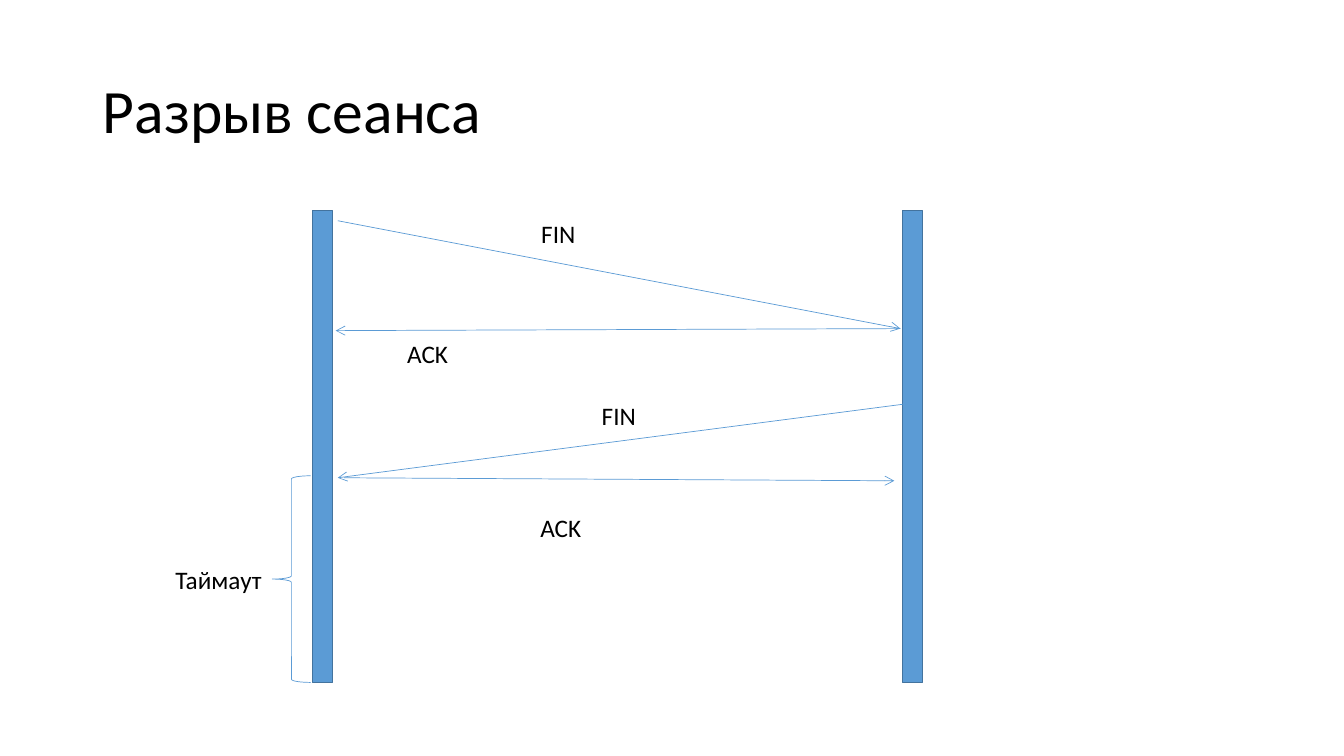
from lxml.etree import SubElement
from pptx import Presentation
from pptx.dml.color import RGBColor
from pptx.enum.shapes import MSO_CONNECTOR, MSO_SHAPE
from pptx.enum.text import MSO_ANCHOR, MSO_AUTO_SIZE, PP_ALIGN
from pptx.oxml.ns import qn
from pptx.util import Inches, Pt

TITLE = "Разрыв сеанса"
FONT = "Calibri"
COLORS = {"text": "000000", "blue": "5B9BD5", "border": "43739E"}

HOST_LEFTS = [3.1, 8.95]
HOST_TOP, HOST_WIDTH, HOST_HEIGHT = 2.09, 0.2, 4.68
TIMEOUT_TOP = 4.72

# start x, start y, end x, end y
MESSAGES = [
    (3.35, 2.19, 8.93, 3.26),
    (8.93, 3.26, 3.33, 3.28),
    (8.96, 4.01, 3.35, 4.74),
    (3.41, 4.74, 8.87, 4.77),
]

# text, left, top, width, wraps
LABELS = [
    ("FIN", 5.27, 2.12, 0.54, False),
    ("ACK", 3.94, 3.31, 2.38, True),
    ("FIN", 5.87, 3.92, 0.54, False),
    ("ACK", 5.26, 5.03, 0.61, False),
    ("Таймаут", 1.64, 5.55, 1.08, False),
]


def color(name):
    return RGBColor.from_string(COLORS[name])


def set_font(para, size):
    para.alignment = PP_ALIGN.LEFT
    para.font.name = FONT
    para.font.size = Pt(size)
    para.font.color.rgb = color("text")


def set_line(line, name, width):
    line.color.rgb = color(name)
    line.width = Pt(width)


def add_title(page):
    title = page.shapes.title
    title.left, title.top = Inches(0.92), Inches(0.4)
    title.width, title.height = Inches(11.5), Inches(1.45)
    title.text_frame.text = TITLE
    title.text_frame.vertical_anchor = MSO_ANCHOR.MIDDLE
    para = title.text_frame.paragraphs[0]
    para.line_spacing = 0.9
    set_font(para, 44)


def add_host(page, left):
    host = page.shapes.add_shape(
        MSO_SHAPE.RECTANGLE, Inches(left), Inches(HOST_TOP),
        Inches(HOST_WIDTH), Inches(HOST_HEIGHT))
    host.shadow.inherit = False
    host.fill.solid()
    host.fill.fore_color.rgb = color("blue")
    set_line(host.line, "border", 1)


def add_message(page, ends):
    arrow = page.shapes.add_connector(
        MSO_CONNECTOR.STRAIGHT, *(Inches(value) for value in ends))
    set_line(arrow.line, "blue", 0.5)
    properties = arrow._element.spPr
    SubElement(properties.find(qn("a:ln")), qn("a:tailEnd"), type="arrow")
    SubElement(properties, qn("a:effectLst"))


def add_timeout_brace(page):
    bottom = HOST_TOP + HOST_HEIGHT
    brace = page.shapes.add_shape(
        MSO_SHAPE.LEFT_BRACE, Inches(2.7), Inches(TIMEOUT_TOP),
        Inches(0.38), Inches(bottom - TIMEOUT_TOP))
    brace.shadow.inherit = False
    brace.fill.background()
    set_line(brace.line, "blue", 0.5)


def add_label(page, text, left, top, width, wraps):
    box = page.shapes.add_textbox(
        Inches(left), Inches(top), Inches(width), Inches(0.4))
    frame = box.text_frame
    frame.text = text
    frame.word_wrap = wraps
    frame.auto_size = MSO_AUTO_SIZE.SHAPE_TO_FIT_TEXT
    set_font(frame.paragraphs[0], 18)


def main():
    deck = Presentation()
    deck.slide_width, deck.slide_height = Inches(13.33), Inches(7.5)
    page = deck.slides.add_slide(deck.slide_layouts[5])
    add_title(page)
    for left in HOST_LEFTS:
        add_host(page, left)
    for ends in MESSAGES:
        add_message(page, ends)
    add_timeout_brace(page)
    for label in LABELS:
        add_label(page, *label)
    deck.save("out.pptx")


if __name__ == "__main__":
    main()
